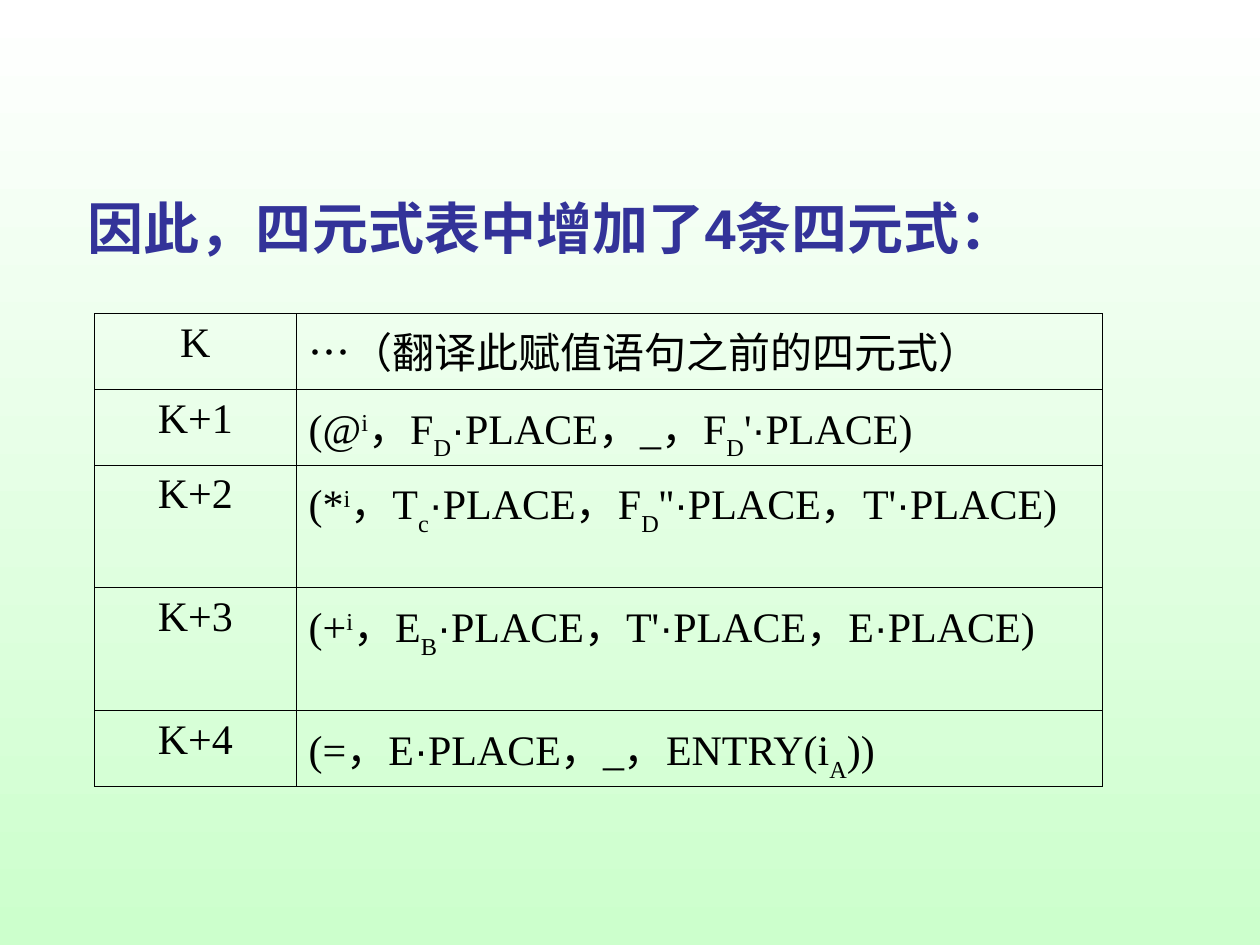
from dataclasses import dataclass
from itertools import groupby

from lxml import etree
from pptx import Presentation
from pptx.dml.color import RGBColor
from pptx.enum.text import MSO_ANCHOR, PP_ALIGN
from pptx.oxml.ns import qn
from pptx.util import Inches, Pt

CENTER = PP_ALIGN.CENTER
LEFT = PP_ALIGN.LEFT
MIDDLE = MSO_ANCHOR.MIDDLE
SUPERSCRIPT = 30000
SUBSCRIPT = -30000
BORDER_SIDES = ("a:lnL", "a:lnR", "a:lnT", "a:lnB")


@dataclass(frozen=True)
class Theme:
    heading_font: str = "Arial"
    body_font: str = "Times New Roman"
    heading_size: float = 32
    body_size: float = 24
    border_width: float = 0.45
    heading_color: str = "333399"
    body_color: str = "000000"
    background: tuple = ("FFFFFF", "CCFFCC")


class SlideBuilder:
    def __init__(self, presentation, theme):
        self.theme = theme
        self.width = presentation.slide_width
        self.height = presentation.slide_height
        self.slide = presentation.slides.add_slide(presentation.slide_layouts[6])

    def box(self, left, top, width, height):
        return (round(left * self.width), round(top * self.height),
                round(width * self.width), round(height * self.height))

    def background(self):
        fill = self.slide.background.fill
        fill.gradient()
        fill.gradient_angle = 270
        for position, (stop, color) in enumerate(zip(fill.gradient_stops, self.theme.background)):
            stop.position = position
            stop.color.rgb = RGBColor.from_string(color)

    def run(self, paragraph, text, font, size, color, bold=False, baseline=0):
        run = paragraph.add_run()
        run.text = text
        run.font.name = font
        run.font.size = Pt(size)
        run.font.bold = bold
        run.font.color.rgb = RGBColor.from_string(color)
        if baseline:
            run.font._element.set("baseline", str(baseline))

    def title(self, text, *place):
        frame = self.slide.shapes.add_textbox(*self.box(*place)).text_frame
        frame.word_wrap = True
        frame.vertical_anchor = MIDDLE
        theme = self.theme
        self.run(frame.paragraphs[0], text, theme.heading_font,
                 theme.heading_size, theme.heading_color, bold=True)

    def borders(self, cell):
        properties = cell._tc.get_or_add_tcPr()
        for index, side in enumerate(BORDER_SIDES):
            line = etree.Element(qn(side), w=str(Pt(self.theme.border_width)))
            fill = etree.SubElement(line, qn("a:solidFill"))
            etree.SubElement(fill, qn("a:srgbClr"), val=self.theme.body_color)
            properties.insert(index, line)

    def cell(self, cell, pieces, alignment):
        theme = self.theme
        cell.fill.background()
        self.borders(cell)
        paragraph = cell.text_frame.paragraphs[0]
        paragraph.alignment = alignment
        for text, baseline in pieces:
            for in_heading_font, characters in groupby(text, lambda c: c == "·" or c > "\u2000" and c not in "，"):
                font = theme.heading_font if in_heading_font else theme.body_font
                self.run(paragraph, "".join(characters), font, theme.body_size,
                         theme.body_color, baseline=baseline)

    def table(self, rows, left, top, column_shares, row_shares):
        place = self.box(left, top, sum(column_shares), sum(row_shares))
        table = self.slide.shapes.add_table(len(rows), len(column_shares), *place).table
        table.first_row = table.horz_banding = False
        for column, share in zip(table.columns, column_shares):
            column.width = round(share * self.width)
        for row, share, (label, pieces) in zip(table.rows, row_shares, rows):
            row.height = round(share * self.height)
            self.cell(row.cells[0], [(label, 0)], CENTER)
            self.cell(row.cells[1], pieces, LEFT)


def quadruple(operator, *pieces):
    return [("(" + operator, 0), ("i", SUPERSCRIPT), *pieces]


QUADRUPLES = [
    ("K", [("…（翻译此赋值语句之前的四元式）", 0)]),
    ("K+1", quadruple("@", ("，F", 0), ("D", SUBSCRIPT), ("·PLACE，_，F", 0),
                      ("D", SUBSCRIPT), ("'·PLACE)", 0))),
    ("K+2", quadruple("*", ("，T", 0), ("c", SUBSCRIPT), ("·PLACE，F", 0),
                      ("D", SUBSCRIPT), ("''·PLACE，T'·PLACE)", 0))),
    ("K+3", quadruple("+", ("，E", 0), ("B", SUBSCRIPT),
                      ("·PLACE，T'·PLACE，E·PLACE)", 0))),
    ("K+4", [("(=，E·PLACE，_，ENTRY(i", 0), ("A", SUBSCRIPT), ("))", 0)]),
]


def main():
    presentation = Presentation()
    presentation.slide_width = Inches(10)
    presentation.slide_height = Inches(7.5)
    builder = SlideBuilder(presentation, Theme())
    builder.background()
    builder.title("因此，四元式表中增加了4条四元式：", 0.06, 0.2, 0.9, 0.08)
    single, double = 0.08, 0.13
    builder.table(QUADRUPLES, 0.075, 0.332, (0.16, 0.64),
                  (single, single, double, double, single))
    presentation.save("out.pptx")


if __name__ == "__main__":
    main()
